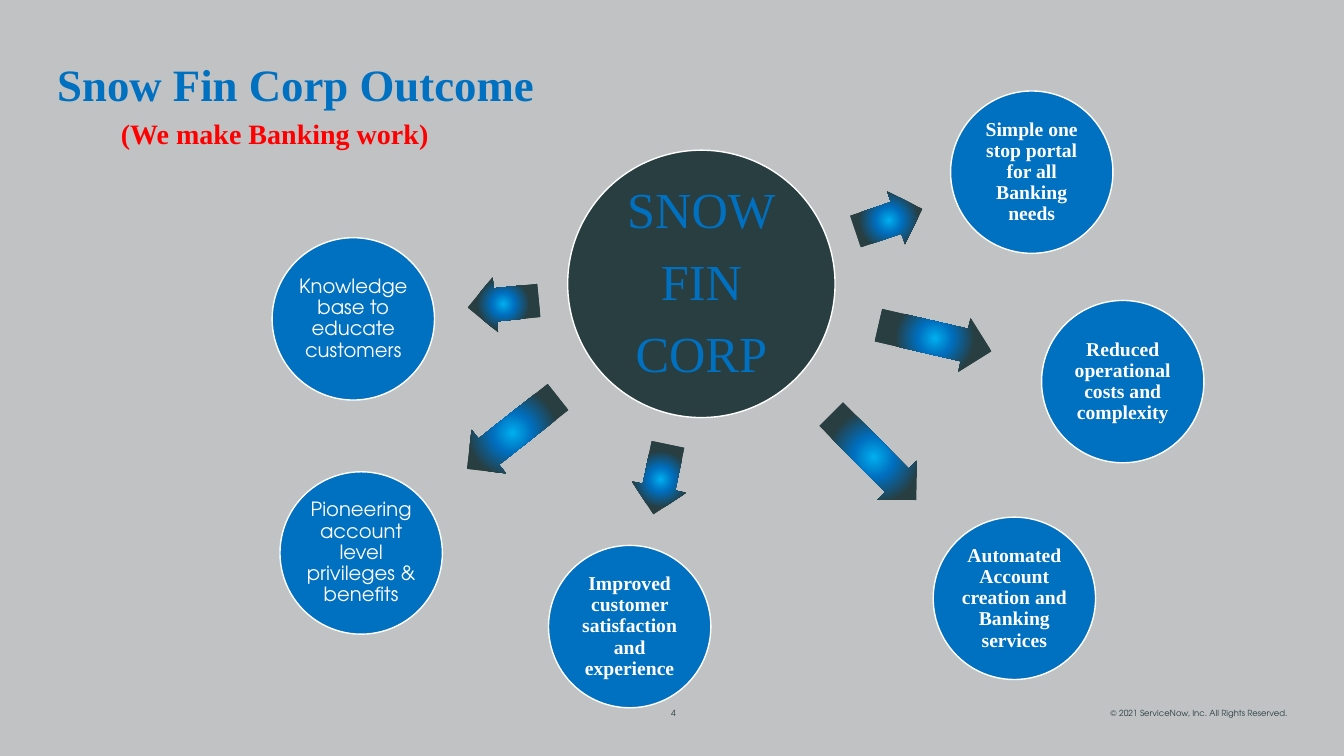
from dataclasses import dataclass

from pptx import Presentation
from pptx.dml.color import RGBColor
from pptx.enum.shapes import MSO_SHAPE
from pptx.enum.text import MSO_ANCHOR, PP_ALIGN
from pptx.oxml import parse_xml
from pptx.oxml.ns import nsdecls
from pptx.shapes.autoshape import Shape
from pptx.slide import Slide
from pptx.util import Pt

ELLIPSE = MSO_SHAPE.OVAL
ARROW = MSO_SHAPE.RIGHT_ARROW
TOP, MIDDLE, BOTTOM = MSO_ANCHOR.TOP, MSO_ANCHOR.MIDDLE, MSO_ANCHOR.BOTTOM
LEFT, CENTER, RIGHT = PP_ALIGN.LEFT, PP_ALIGN.CENTER, PP_ALIGN.RIGHT

GRAY = RGBColor(0xC0, 0xC2, 0xC4)
DARK = RGBColor(0x29, 0x3E, 0x40)
BLUE = RGBColor(0x00, 0x70, 0xC0)
SKY = RGBColor(0x00, 0xB0, 0xF0)
RED = RGBColor(0xFF, 0x00, 0x00)
WHITE = RGBColor(0xFF, 0xFF, 0xFF)

SERIF = "Times New Roman"
SANS = "TeX Gyre Adventor"

CIRCLE_SIZE = 116
ARROW_HEIGHT = 39.6
ARROW_STOPS = ((0, SKY), (23, BLUE), (54, DARK), (97, DARK), (100, DARK))


@dataclass(frozen=True)
class Outcome:
    text: str
    left: float
    top: float
    arrow_left: float
    arrow_top: float
    arrow_length: float
    arrow_angle: float
    font: str = SERIF
    bold: bool = True


OUTCOMES = (
    Outcome("Simple one stop portal for all Banking needs",
            679, 65, 609.8, 137.5, 50.4, 341.3),
    Outcome("Reduced operational costs and complexity",
            744, 214.6, 626.4, 221.8, 82.8, 13),
    Outcome("Automated Account creation and Banking services",
            666.6, 369.4, 581, 306.7, 86.4, 45.2),
    Outcome("Improved customer satisfaction and experience",
            391.8, 389.6, 446.4, 322.6, 51, 101.8),
    Outcome("Pioneering account level privileges & benefits",
            200, 337, 324.7, 289.4, 82.8, 141.7, SANS, False),
    Outcome("Knowledge base to educate customers",
            194.4, 169.8, 334, 197.3, 51, 174.3, SANS, False),
)


def write_text(shape: Shape, text: str, *, size: float, color: RGBColor,
               font: str = SERIF, bold: bool = False,
               align: PP_ALIGN = LEFT, anchor: MSO_ANCHOR = MIDDLE,
               margin_x: float = 7.2, margin_y: float = 3.6,
               line_spacing: float = 1.0, gap: float = 0) -> None:
    frame = shape.text_frame
    frame.word_wrap = True
    frame.vertical_anchor = anchor
    frame.margin_left = frame.margin_right = Pt(margin_x)
    frame.margin_top = frame.margin_bottom = Pt(margin_y)
    frame.text = text
    for index, para in enumerate(frame.paragraphs):
        para.alignment = align
        para.line_spacing = line_spacing
        if index:
            para.space_before = Pt(gap)
        for span in para.runs:
            span.font.name = font
            span.font.size = Pt(size)
            span.font.bold = bold
            span.font.color.rgb = color


def add_text(page: Slide, text: str, left: float, top: float,
             width: float, height: float, **style) -> None:
    box = page.shapes.add_textbox(Pt(left), Pt(top), Pt(width), Pt(height))
    write_text(box, text, **style)


def add_circle(page: Slide, text: str, left: float, top: float,
               diameter: float, fill: RGBColor, **style) -> None:
    circle = page.shapes.add_shape(ELLIPSE, Pt(left), Pt(top),
                                   Pt(diameter), Pt(diameter))
    circle.shadow.inherit = False
    circle.fill.solid()
    circle.fill.fore_color.rgb = fill
    circle.line.color.rgb = WHITE
    circle.line.width = Pt(1)
    write_text(circle, text, align=CENTER, line_spacing=0.9, **style)


def add_arrow(page: Slide, outcome: Outcome) -> None:
    arrow = page.shapes.add_shape(
        ARROW, Pt(outcome.arrow_left), Pt(outcome.arrow_top),
        Pt(outcome.arrow_length), Pt(ARROW_HEIGHT))
    arrow.adjustments[0] = 0.6
    arrow.adjustments[1] = 0.5
    arrow.rotation = outcome.arrow_angle
    arrow.shadow.inherit = False
    arrow.line.fill.background()
    stops = "".join(
        f'<a:gs pos="{percent * 1000}"><a:srgbClr val="{color}"/></a:gs>'
        for percent, color in ARROW_STOPS)
    gradient = parse_xml(
        f'<a:gradFill {nsdecls("a")} rotWithShape="1"><a:gsLst>{stops}</a:gsLst>'
        '<a:path path="circle"><a:fillToRect l="50000" t="50000" r="50000" '
        'b="50000"/></a:path></a:gradFill>')
    properties = arrow.element.spPr
    properties.insert(list(properties).index(properties.prstGeom) + 1, gradient)


def main() -> None:
    deck = Presentation()
    deck.slide_width, deck.slide_height = Pt(960), Pt(540)
    page = deck.slides.add_slide(deck.slide_layouts[6])
    page.background.fill.solid()
    page.background.fill.fore_color.rgb = GRAY

    add_text(page, "4", 461.5, 501, 39, 17.3,
             size=6, color=DARK, font=SANS, align=CENTER)
    add_text(page, "© 2021 ServiceNow, Inc. All Rights Reserved.",
             635, 501, 291.6, 17.3,
             size=6, color=DARK, font=SANS, align=RIGHT)
    add_text(page, "Snow Fin Corp Outcome", 33.8, 26.6, 883.4, 52.6,
             size=32, color=BLUE, bold=True, anchor=BOTTOM,
             margin_y=0, line_spacing=0.9)

    add_circle(page, "SNOW\nFIN\nCORP", 405.5, 107.3, 191, DARK,
               size=36, color=BLUE, margin_x=3.6, gap=12.6)
    for outcome in OUTCOMES:
        add_arrow(page, outcome)
        add_circle(page, outcome.text, outcome.left, outcome.top,
                   CIRCLE_SIZE, BLUE, size=14, color=WHITE,
                   font=outcome.font, bold=outcome.bold,
                   margin_x=1.4, margin_y=1.4)

    add_text(page, "(We make Banking work)", 79.2, 80, 479.5, 31.7,
             size=20, color=RED, bold=True, anchor=TOP)
    deck.save("out.pptx")


if __name__ == "__main__":
    main()
